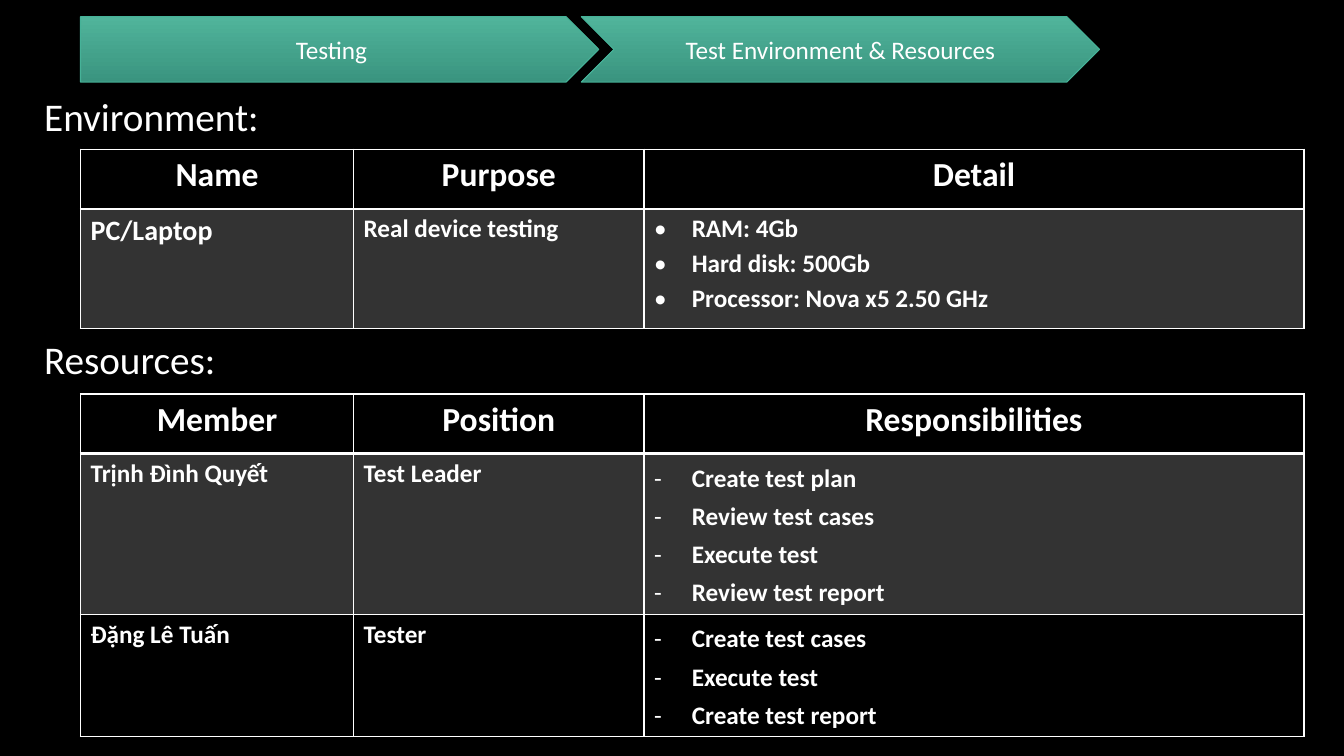
from lxml import etree
from pptx import Presentation
from pptx.dml.color import RGBColor
from pptx.enum import shapes, text
from pptx.oxml import ns
from pptx.util import Cm, Pt

# Content
STEPS = [("Testing", shapes.MSO_SHAPE.PENTAGON),
         ("Test Environment & Resources", shapes.MSO_SHAPE.CHEVRON)]
ENVIRONMENT = {
    "heading": "Environment:", "heading_top": 1.8, "table_top": 3.76,
    "heights": [1.5, 3.02], "bullet": "•", "spacing": 1, "before": 3,
    "align": text.PP_ALIGN.JUSTIFY, "first_size": 20, "shaded": [1],
    "rows": [("Name", "Purpose", "Detail"),
             ("PC/Laptop", "Real device testing",
              ["RAM: 4Gb", "Hard disk: 500Gb", "Processor: Nova x5 2.50 GHz"])],
}
RESOURCES = {
    "heading": "Resources:", "heading_top": 7.92, "table_top": 9.93,
    "heights": [1.5, 4.05, 3.07], "bullet": "-", "spacing": 1.15, "before": 2,
    "align": text.PP_ALIGN.LEFT, "first_size": 18, "shaded": [1],
    "rows": [("Member", "Position", "Responsibilities"),
             ("Trịnh Đình Quyết", "Test Leader",
              ["Create test plan", "Review test cases", "Execute test",
               "Review test report"]),
             ("Đặng Lê Tuấn", "Tester",
              ["Create test cases", "Execute test", "Create test report"])],
}

# Style
FONT = "Calibri"
WHITE = RGBColor(0xFF, 0xFF, 0xFF)
BLACK = RGBColor(0, 0, 0)
GREEN_TOP = RGBColor(0x50, 0xB4, 0x9B)
GREEN_BOTTOM = RGBColor(0x3A, 0x94, 0x7F)
GREEN_EDGE = RGBColor(0x46, 0xB2, 0x98)
LEFT = 2.03
COLUMNS = [6.88, 7.32, 16.63]
STEP_WIDTH, STEP_PITCH = 13.06, 12.62


def write(paragraph, words, size, bold=False, align=text.PP_ALIGN.LEFT):
    paragraph.alignment = align
    run = paragraph.add_run()
    run.text = words
    run.font.name, run.font.size, run.font.bold = FONT, Pt(size), bold
    run.font.color.rgb = WHITE


def add_bullet(paragraph, symbol):
    properties = paragraph._p.get_or_add_pPr()
    properties.set("marL", str(Cm(0.95)))
    properties.set("indent", str(-Cm(0.95)))
    font = etree.SubElement(properties, ns.qn("a:buFont"))
    font.set("typeface", FONT)
    etree.SubElement(properties, ns.qn("a:buChar")).set("char", symbol)


def add_borders(cell, bottom):
    properties = cell._tc.get_or_add_tcPr()
    for side, width in (("L", 1), ("R", 1), ("T", 1), ("B", bottom)):
        line = etree.SubElement(properties, ns.qn("a:ln" + side), w=str(Pt(width)))
        fill = etree.SubElement(line, ns.qn("a:solidFill"))
        etree.SubElement(fill, ns.qn("a:srgbClr"), val=str(WHITE))


def shade(cell):
    cell.fill.solid()
    cell.fill.fore_color.rgb = WHITE
    color = cell._tc.tcPr.find(".//" + ns.qn("a:srgbClr") + "[last()]/..")
    color = cell._tc.tcPr.find(ns.qn("a:solidFill")).find(ns.qn("a:srgbClr"))
    etree.SubElement(color, ns.qn("a:alpha"), val="20000")


def add_heading(box, section):
    box.left, box.top = Cm(0.86), Cm(section["heading_top"])
    box.width, box.height = Cm(6.32), Cm(2.26)
    frame = box.text_frame
    frame.word_wrap = True
    frame.auto_size = text.MSO_AUTO_SIZE.NONE
    frame.vertical_anchor = text.MSO_ANCHOR.MIDDLE
    frame.paragraphs[0].space_after = Pt(10)
    write(frame.paragraphs[0], section["heading"], 28)


def add_section_table(slide, section):
    rows, heights = section["rows"], section["heights"]
    table = slide.shapes.add_table(
        len(rows), len(COLUMNS), Cm(LEFT), Cm(section["table_top"]),
        Cm(sum(COLUMNS)), Cm(sum(heights))).table
    table.first_row = table.horz_banding = False
    for column, width in zip(table.columns, COLUMNS):
        column.width = Cm(width)
    for r, row in enumerate(rows):
        table.rows[r].height = Cm(heights[r])
        for c, value in enumerate(row):
            cell = table.cell(r, c)
            add_borders(cell, 2 if r == 0 else 1)
            if r in section["shaded"]:
                shade(cell)
            else:
                cell.fill.background()
            frame = cell.text_frame
            if r == 0:
                write(frame.paragraphs[0], value, 24, True, text.PP_ALIGN.CENTER)
            elif c < 2:
                size = section["first_size"] if c == 0 else 18
                write(frame.paragraphs[0], value, size, True)
            else:
                for i, item in enumerate(value):
                    paragraph = frame.add_paragraph() if i else frame.paragraphs[0]
                    add_bullet(paragraph, section["bullet"])
                    paragraph.line_spacing = section["spacing"]
                    if i:
                        paragraph.space_before = Pt(section["before"])
                    write(paragraph, item, 18, True, section["align"])


def add_step(slide, index, label, outline):
    step = slide.shapes.add_shape(outline, Cm(LEFT + index * STEP_PITCH),
                                  Cm(0.42), Cm(STEP_WIDTH), Cm(1.65))
    step.shadow.inherit = False
    step.fill.gradient()
    step.fill.gradient_angle = 270
    for stop, color in zip(step.fill.gradient_stops, (GREEN_TOP, GREEN_BOTTOM)):
        stop.color.rgb = color
    step.line.color.rgb = GREEN_EDGE
    step.line.width = Pt(0.75)
    step.text_frame.vertical_anchor = text.MSO_ANCHOR.MIDDLE
    write(step.text_frame.paragraphs[0], label, 18, align=text.PP_ALIGN.CENTER)


def main():
    deck = Presentation()
    deck.slide_width, deck.slide_height = Cm(33.87), Cm(19.05)
    slide = deck.slides.add_slide(deck.slide_layouts[5])
    slide.background.fill.solid()
    slide.background.fill.fore_color.rgb = BLACK

    # Breadcrumb arrows
    for index, (label, outline) in enumerate(STEPS):
        add_step(slide, index, label, outline)

    # Environment, whose heading is the slide title, then resources
    add_heading(slide.shapes.title, ENVIRONMENT)
    add_section_table(slide, ENVIRONMENT)
    add_heading(slide.shapes.add_textbox(0, 0, 0, 0), RESOURCES)
    add_section_table(slide, RESOURCES)

    deck.save("out.pptx")


if __name__ == "__main__":
    main()
